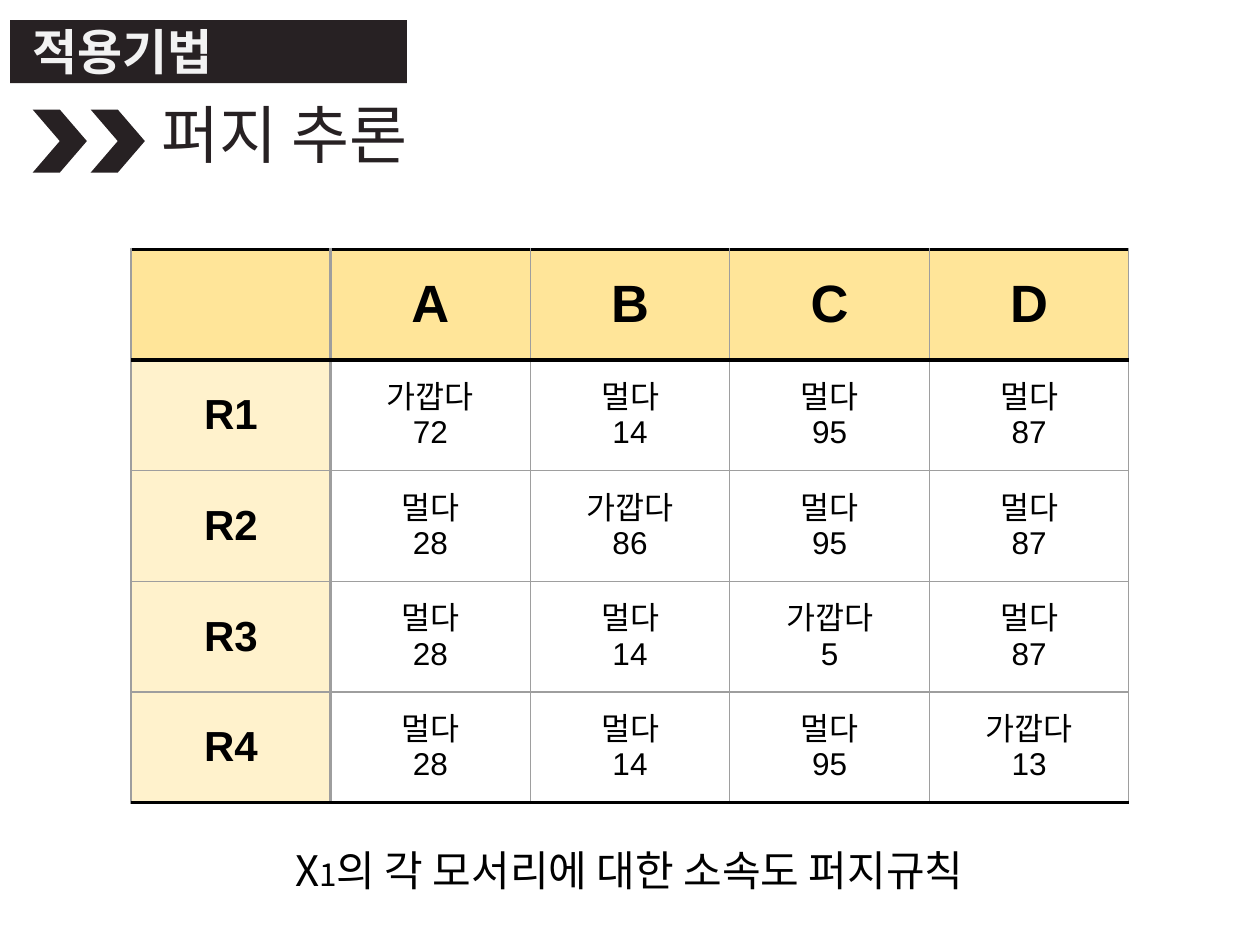
import pptx
import pptx.util
import pptx.dml.color
import pptx.enum.shapes
import pptx.enum.text
import pptx.oxml
from dataclasses import dataclass
from pptx.util import Inches


@dataclass(frozen=True)
class Theme:
    dark: str = "272123"
    light: str = "F2F2F2"
    black: str = "000000"
    grey: str = "9E9E9E"
    header: str = "FFE599"
    rule: str = "FFF2CC"
    latin: str = "Arial"
    korean: str = "Noto Sans CJK KR"
    subtitle: int = 36
    column: int = 30
    title: int = 28
    label: int = 24
    body: int = 18
    thin: float = 0.75
    thick: float = 2.25


theme = Theme()
ALIGN = pptx.enum.text.PP_ALIGN
ANCHOR = pptx.enum.text.MSO_ANCHOR
SHAPE = pptx.enum.shapes.MSO_SHAPE


def write(frame, text, *, sizes, font, color, bold=False, align=ALIGN.LEFT, spacing=None):
    """Fill a text frame: one paragraph per line, spans split by a bar."""
    for number, line in enumerate(text.split("\n")):
        para = frame.paragraphs[0] if number == 0 else frame.add_paragraph()
        para.alignment = align
        para.line_spacing = spacing
        for words, size in zip(line.split("|"), sizes):
            span = para.add_run()
            span.text = words
            span.font.size = pptx.util.Pt(size)
            span.font.bold = bold
            span.font.name = font
            span.font.color.rgb = pptx.dml.color.RGBColor.from_string(color)
            east_asian = pptx.oxml.parse_xml(
                f'<a:ea {pptx.oxml.ns.nsdecls("a")} typeface="{font}"/>')
            span.font._element.find(pptx.oxml.ns.qn("a:latin")).addnext(east_asian)


def set_border(cell, side, color, width):
    cell._tc.get_or_add_tcPr().append(pptx.oxml.parse_xml(
        f'<a:ln{side} {pptx.oxml.ns.nsdecls("a")} w="{pptx.util.Pt(width)}">'
        f'<a:solidFill><a:srgbClr val="{color}"/></a:solidFill></a:ln{side}>'))


deck = pptx.Presentation()
deck.slide_width, deck.slide_height = Inches(10), Inches(7.5)
page = deck.slides.add_slide(deck.slide_layouts[5])

# Title bar and chevrons
for kind, left, top, width, height in [
    (SHAPE.RECTANGLE, 0.08, 0.16, 3.15, 0.5),
    (SHAPE.CHEVRON, 0.72, 0.87, 0.43, 0.5),
    (SHAPE.CHEVRON, 0.26, 0.87, 0.43, 0.5),
]:
    shape = page.shapes.add_shape(
        kind, Inches(left), Inches(top), Inches(width), Inches(height))
    shape.shadow.inherit = False
    shape.fill.solid()
    shape.fill.fore_color.rgb = pptx.dml.color.RGBColor.from_string(theme.dark)
    shape.line.fill.background()

# Title, moved in front of its bar
title = page.shapes.title
page.shapes._spTree.append(title._element)
title.left, title.top = Inches(0.16), Inches(0.12)
title.width, title.height = Inches(2.99), Inches(0.57)
title.text_frame.vertical_anchor = ANCHOR.MIDDLE
title.text_frame.auto_size = pptx.enum.text.MSO_AUTO_SIZE.NONE
write(title.text_frame, "적용기법", sizes=[theme.title], font=theme.latin,
      color=theme.light, bold=True)

# Subtitle
subtitle = page.shapes.add_textbox(Inches(1.18), Inches(0.78), Inches(4.32), Inches(0.34))
subtitle.text_frame.word_wrap = True
write(subtitle.text_frame, "퍼지 추론", sizes=[theme.subtitle], font=theme.korean,
      color=theme.dark, spacing=0.9)

# Fuzzy rule table: each rule is near to one corner and far from the others
corners = ["A", "B", "C", "D"]
near = [72, 86, 5, 13]
far = [28, 14, 95, 87]
rows = [["", *corners]]
for rule in range(len(near)):
    rows.append([f"R{rule + 1}"] + [
        f"가깝다\n{near[corner]}" if corner == rule else f"멀다\n{far[corner]}"
        for corner in range(len(corners))])

table_frame = page.shapes.add_table(
    5, 5, Inches(1.04), Inches(1.98), Inches(7.92), Inches(4.39))
table = table_frame.table
table.first_row = table.horz_banding = False
for column in table.columns:
    column.width = Inches(7.92 / 5)
for row in table.rows:
    row.height = Inches(4.39 / 5)

for r, texts in enumerate(rows):
    for c, text in enumerate(texts):
        cell = table.cell(r, c)
        cell.vertical_anchor = ANCHOR.MIDDLE
        cell.margin_left = cell.margin_right = Inches(0.1)
        cell.margin_top = cell.margin_bottom = Inches(0.1)

        # Heavy black rules around the header and at the foot, heavy grey by the labels
        heavy = {"L": c == 1, "R": c == 0, "T": r <= 1, "B": r in (0, 4)}
        for side, is_heavy in heavy.items():
            color = theme.black if is_heavy and side in "TB" else theme.grey
            set_border(cell, side, color, theme.thick if is_heavy else theme.thin)

        if r == 0 or c == 0:
            cell.fill.solid()
            cell.fill.fore_color.rgb = pptx.dml.color.RGBColor.from_string(
                theme.header if r == 0 else theme.rule)
        else:
            cell.fill.background()
        if text:
            size = theme.column if r == 0 else theme.label if c == 0 else theme.body
            write(cell.text_frame, text, sizes=[size], font=theme.latin,
                  color=theme.black, bold=r == 0 or c == 0, align=ALIGN.CENTER)

# Caption
caption = page.shapes.add_textbox(Inches(1.67), Inches(6.65), Inches(6.65), Inches(0.57))
caption.text_frame.word_wrap = True
caption.text_frame.margin_top = caption.text_frame.margin_bottom = Inches(0.1)
write(caption.text_frame, "X|1|의 각 모서리에 대한 소속도 퍼지규칙",
      sizes=[theme.label, theme.body, theme.label], font=theme.korean,
      color=theme.black, align=ALIGN.CENTER, spacing=0.9)

deck.save("out.pptx")
